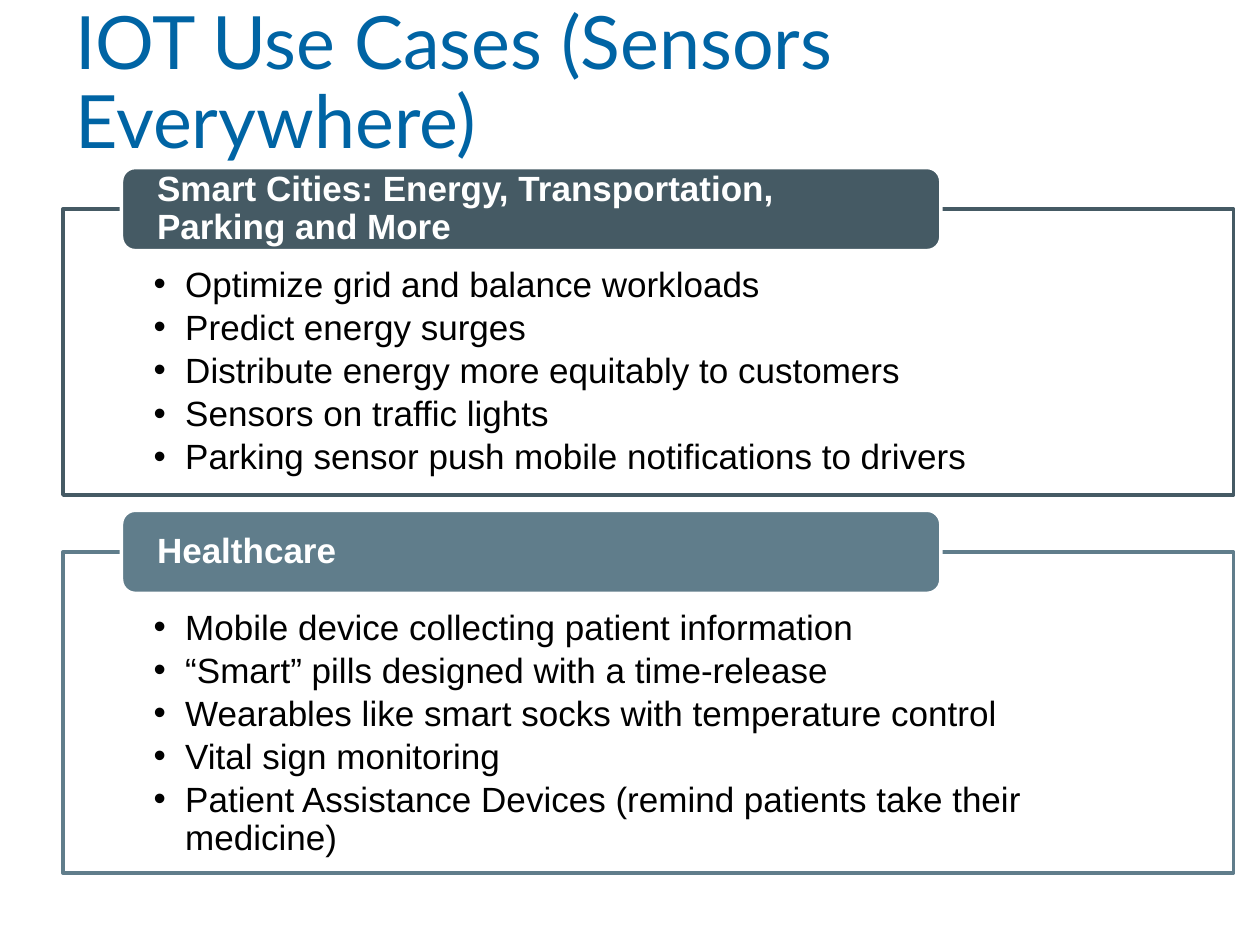
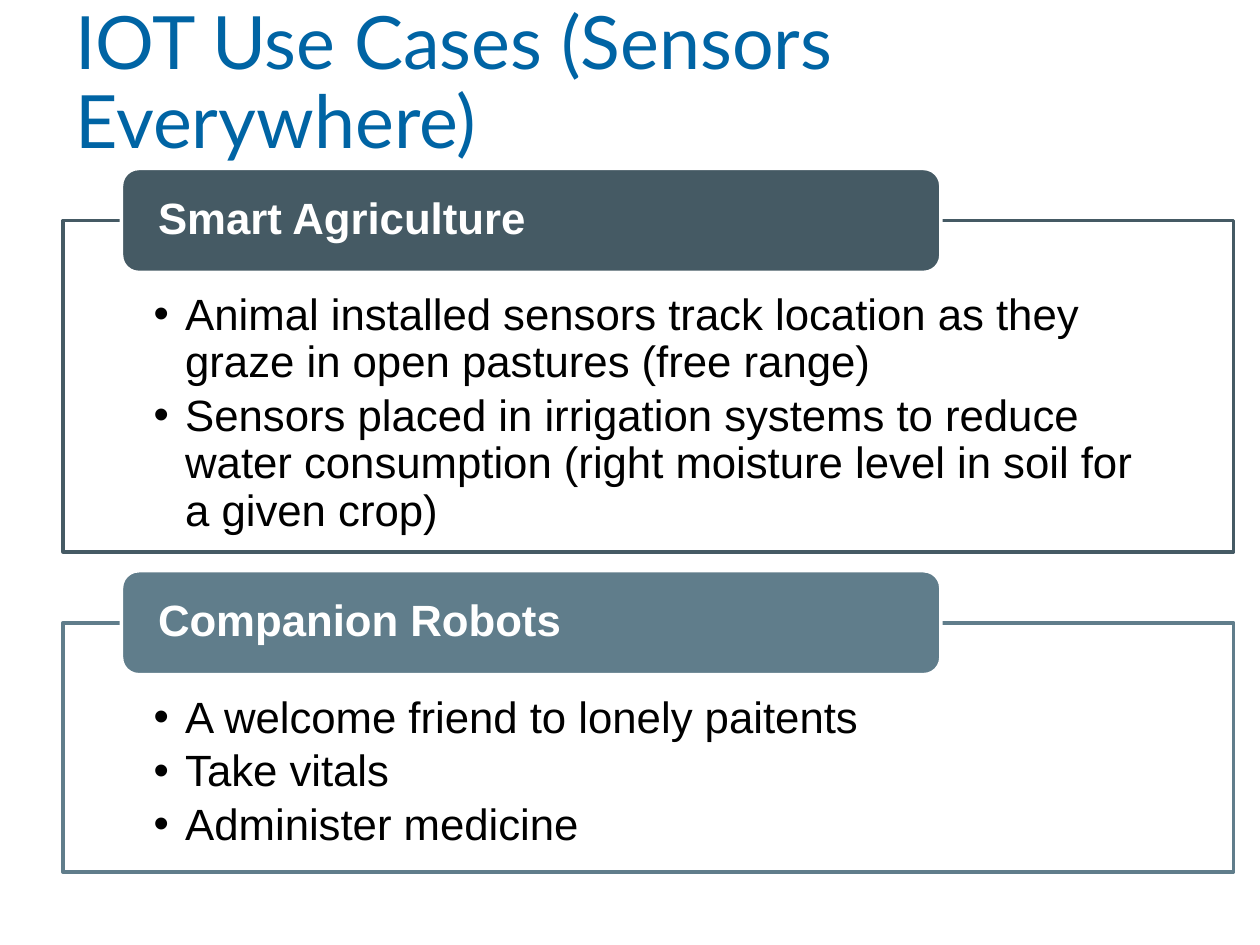
import pptx
import pptx.dml.color
import pptx.enum.shapes
import pptx.enum.text
import pptx.oxml.ns
import pptx.util
from lxml import etree

COLORS = {"title": "0064A4", "first": "455A64", "second": "607D8B",
          "paper": "FFFFFF", "ink": "000000"}
SHAPES = pptx.enum.shapes.MSO_SHAPE
ANCHOR = pptx.enum.text.MSO_ANCHOR
ALIGN = pptx.enum.text.PP_ALIGN
NO_FIT = pptx.enum.text.MSO_AUTO_SIZE.NONE

# Grid: 100 columns by 75 rows
SLIDE_W, SLIDE_H = pptx.util.Inches(10), pptx.util.Inches(7.5)
COLUMNS, ROWS = 100, 75
LEFT, WIDTH = 5, 92.9
STACK_MIDDLE = 41.3

# Rows for each point of text size
TAB_RATIO, GAP_RATIO = 0.33, 0.06
TOP_RATIO, BOTTOM_RATIO = 0.23, 0.08

TITLE = "IOT Use Cases (Sensors Everywhere)"
USE_CASES = [
    {"size": 20, "sections": [
        ("Smart Cities: Energy, Transportation, Parking and More", "first", 22.7, [
            "Optimize grid and balance workloads",
            "Predict energy surges",
            "Distribute energy more equitably to customers",
            "Sensors on traffic lights",
            "Parking sensor push mobile notifications to drivers"]),
        ("Healthcare", "second", 25.5, [
            "Mobile device collecting patient information",
            "“Smart” pills designed with a time-release",
            "Wearables like smart socks with temperature control",
            "Vital sign monitoring",
            "Patient Assistance Devices (remind patients take their medicine)"])]},
    {"size": 25, "sections": [
        ("Smart Agriculture", "first", 26.3, [
            "Animal installed sensors track location as they graze in open pastures (free range)",
            "Sensors placed in irrigation systems to reduce water consumption "
            "(right moisture level in soil for a given crop)"]),
        ("Companion Robots", "second", 19.8, [
            "A welcome friend to lonely paitents",
            "Take vitals",
            "Administer medicine"])]},
]


def col(count):
    return round(SLIDE_W * count / COLUMNS)


def row(count):
    return round(SLIDE_H * count / ROWS)


def place(box):
    left, top, width, height = box
    return col(left), row(top), col(width), row(height)


def rgb(name):
    return pptx.dml.color.RGBColor.from_string(COLORS[name])


def apply(target, values):
    for key, value in values.items():
        setattr(target, key, value)


def add_bullet(paragraph):
    props = paragraph._p.get_or_add_pPr()
    props.set("marL", str(col(2.5)))
    props.set("indent", str(-col(2.5)))
    tag = pptx.oxml.ns.qn
    tint = etree.SubElement(props, tag("a:buClr"))
    etree.SubElement(tint, tag("a:srgbClr"), val=COLORS["ink"])
    etree.SubElement(props, tag("a:buFont"), typeface="Arial")
    etree.SubElement(props, tag("a:buChar"), char="•")


def write(holder, lines, color, font, anchor, margins, after=0, bullets=False):
    left, top, right, bottom = margins
    frame = holder.text_frame
    apply(frame, {"word_wrap": True, "auto_size": NO_FIT, "vertical_anchor": anchor,
                  "margin_left": col(left), "margin_top": row(top),
                  "margin_right": col(right), "margin_bottom": row(bottom)})
    for index, line in enumerate(lines):
        paragraph = frame.add_paragraph() if index else frame.paragraphs[0]
        if bullets:
            add_bullet(paragraph)
        apply(paragraph, {"alignment": ALIGN.LEFT, "line_spacing": 0.9,
                          "space_after": pptx.util.Pt(after)})
        run = paragraph.add_run()
        run.text = line
        apply(run.font, font)
        run.font.color.rgb = rgb(color)


def add_block(slide, kind, box, fill, line):
    block = slide.shapes.add_shape(kind, *place(box))
    block.shadow.inherit = False
    block.fill.solid()
    block.fill.fore_color.rgb = rgb(fill)
    block.line.color.rgb = rgb(line)
    block.line.width = pptx.util.Pt(2)
    return block


def add_title(slide, box):
    heading = slide.shapes.add_textbox(*place(box))
    write(heading, [TITLE], "title", {"name": "Lato", "size": pptx.util.Pt(42)},
          ANCHOR.MIDDLE, (1, 0.5, 1, 0.5))


def add_section(slide, box, size, topic, color, points):
    """Outlined panel with its topic tab centred on the top edge."""
    left, top, width, height = box
    tab_height = size * TAB_RATIO
    font = {"name": "Arial", "size": pptx.util.Pt(size)}

    # Panel with bullet points
    panel = add_block(slide, SHAPES.RECTANGLE, box, "paper", color)
    tint = panel.fill._xPr.find(".//" + pptx.oxml.ns.qn("a:srgbClr"))
    etree.SubElement(tint, pptx.oxml.ns.qn("a:alpha"), val="90000")
    write(panel, points, "ink", font, ANCHOR.TOP,
          (7.2, size * TOP_RATIO, 7.2, size * BOTTOM_RATIO),
          after=size * 0.15, bullets=True)

    # Topic tab
    tab = add_block(slide, SHAPES.ROUNDED_RECTANGLE,
                    (left + width * 0.05, top - tab_height / 2, width * 0.7, tab_height),
                    color, "paper")
    write(tab, [topic], "paper", {**font, "bold": True}, ANCHOR.MIDDLE, (2.5, 0, 2.5, 0))


def add_use_cases(deck, size, sections):
    slide = deck.slides.add_slide(deck.slide_layouts[6])
    add_title(slide, (LEFT, 1.9, WIDTH, 9.7))

    # Sections stacked around a common middle
    half_tab, gap = size * TAB_RATIO / 2, size * GAP_RATIO
    total = sum(half_tab + height for _, _, height, _ in sections) + gap * (len(sections) - 1)
    top = STACK_MIDDLE - total / 2
    for topic, color, height, points in sections:
        top += half_tab
        add_section(slide, (LEFT, top, WIDTH, height), size, topic, color, points)
        top += height + gap


def main():
    deck = pptx.Presentation()
    apply(deck, {"slide_width": SLIDE_W, "slide_height": SLIDE_H})
    for use_case in USE_CASES:
        add_use_cases(deck, **use_case)
    deck.save("out.pptx")


if __name__ == "__main__":
    main()
